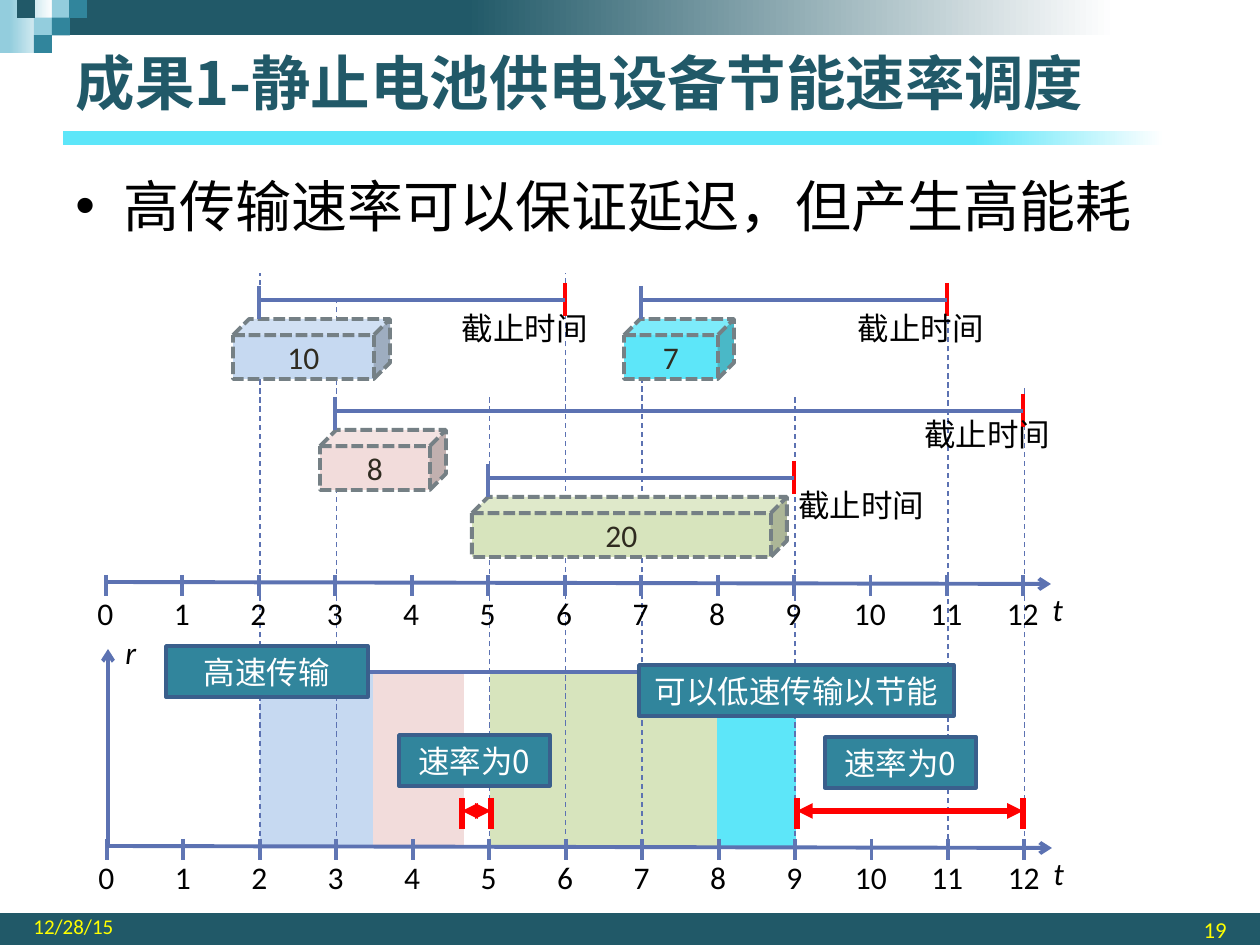
"""Build the slide on energy-saving rate scheduling for a static battery-powered device."""
from lxml import etree
from pptx import Presentation
from pptx import util as u
from pptx.dml.color import RGBColor
from pptx.enum import dml, shapes, text
from pptx.oxml.ns import qn

TITLE = "成果1-静止电池供电设备节能速率调度"
POINT = "高传输速率可以保证延迟，但产生高能耗"
DEADLINE = "截止时间"
DATE, PAGE = "12/28/15", "19"
COLORS = {
    "navy": "215968", "teal": "31859C", "sky": "93CDDD", "cyan": "5DE6F9", "white": "FFFFFF",
    "black": "000000", "yellow": "FFFF00", "red": "FF0000", "axis": "5C72B2", "tick": "6076B4",
    "blue": "C6D9F1", "pink": "F2DCDB", "green": "D7E4BD", "cube_edge": "758085",
    "cube_text": "2F2B20", "callout_edge": "3A5F8C",
}
LATIN, HAN = "Calibri", "Noto Sans CJK SC"
FADES = [
    ((63, 131, 1197, 14), ((76, "cyan"), (92, "white"))),
    ((0, 0, 53, 53), ((18, "sky"), (100, "white"))),
    ((57, 0, 1203, 35), ((34, "navy"), (88, "white"))),
]
MOSAIC = [(3, 0, "sky"), (4, 0, "teal"), (2, 1, "sky"), (1, 0, "navy"), (3, 1, "teal"), (2, 2, "teal")]
RATE_BARS = [(373, 91, "pink"), (490, 227, "green"), (717, 79, "cyan"), (260, 113, "blue")]
GUIDES = {2: (836, 273), 3: (836, 301), 5: (836, 396), 6: (834, 273),
          7: (834, 284), 9: (836, 396), 11: (848, 292), 12: (836, 388)}
TASKS = [
    ("10", 2, 6, 300, (233, 157), "blue", (462, 309)),
    ("20", 5, 9, 478, (472, 315), "green", (798, 486)),
    ("8", 3, 12, 411, (320, 126), "pink", (924, 415)),
    ("7", 7, 11, 300, (624, 110), "cyan", (858, 309)),
]
IDLE_SPANS = [(797, 1023), (462, 491)]
CALLOUTS = [
    ("高速传输", 166, 646, 202), ("速率为0", 825, 737, 151),
    ("可以低速传输以节能", 639, 665, 315), ("速率为0", 399, 735, 151),
]
PX = u.Inches(1) / 126
ORIGIN, PITCH = 107, 76.45


def px(*lengths):
    return [u.Emu(round(length * PX)) for length in lengths]


def rgb(name):
    return RGBColor.from_string(COLORS[name])


def at_time(t):
    return ORIGIN + PITCH * t


def assign(target, values):
    for name, value in values.items():
        setattr(target, name, value)


def write(holder, words, size, color="black", font=LATIN, align="LEFT", anchor="TOP", inset=None, **marks):
    frame = holder.text_frame
    assign(frame, {"word_wrap": True, "auto_size": text.MSO_AUTO_SIZE.NONE,
                   "vertical_anchor": getattr(text.MSO_ANCHOR, anchor)})
    if inset is not None:
        assign(frame, dict.fromkeys(("margin_left", "margin_top", "margin_right", "margin_bottom"), inset))
    paragraph = frame.paragraphs[0]
    paragraph.alignment = getattr(text.PP_ALIGN, align)
    run = paragraph.add_run()
    run.text = words
    assign(run.font, {"size": u.Pt(size), "name": font, **marks})
    run.font.color.rgb = rgb(color)
    if font == HAN:
        etree.SubElement(run.font._element, qn("a:ea"), typeface=HAN)
    return paragraph


def label(slide, words, box, size=18, **look):
    return write(slide.shapes.add_textbox(*px(*box)), words, size, **look)


def block(slide, box, fill=None, kind="RECTANGLE", edge=None, width=2.0):
    shape = slide.shapes.add_shape(getattr(shapes.MSO_SHAPE, kind), *px(*box))
    shape.shadow.inherit = False
    if fill:
        shape.fill.solid()
        shape.fill.fore_color.rgb = rgb(fill)
    if edge:
        shape.line.color.rgb = rgb(edge)
        shape.line.width = u.Pt(width)
    else:
        shape.line.fill.background()
    return shape


def line(slide, x1, y1, x2, y2, color="axis", width=2.25, dash=None, head=None, tail=None):
    link = slide.shapes.add_connector(shapes.MSO_CONNECTOR.STRAIGHT, *px(x1, y1, x2, y2))
    link.line.color.rgb = rgb(color)
    assign(link.line, {"width": u.Pt(width), "dash_style": dash})
    stroke = link.line._get_or_add_ln()
    for end, arrow in (("a:headEnd", head), ("a:tailEnd", tail)):
        if arrow:
            etree.SubElement(stroke, qn(end), type=arrow)
    etree.SubElement(link._element.spPr, qn("a:effectLst"))


def heading(slide):
    title = slide.shapes.title
    assign(title, dict(zip(("left", "top", "width", "height"), px(63, 39, 1097, 86))))
    write(title, TITLE, 34, "navy", HAN, anchor="MIDDLE", bold=True)
    block(slide, (0, 913, 1260, 32), "navy")
    for box, stops in FADES:
        band = block(slide, box)
        band.fill.gradient()
        band.fill.gradient_angle = 0
        for stop, (position, color) in zip(band.fill.gradient_stops, stops):
            stop.position = position / 100
            stop.color.rgb = rgb(color)
    for column, row, color in MOSAIC:
        block(slide, (17 * column + column // 3, 17.5 * row, 18, 18), color)
    point = label(slide, POINT, (63, 165, 1155, 90), 32, font=HAN)
    point.space_before = u.Pt(6.4)
    settings = point._p.get_or_add_pPr()
    indent = px(48)[0]
    settings.set("marL", str(indent))
    settings.set("indent", str(-indent))
    etree.SubElement(settings, qn("a:buFont"), typeface="Arial")
    etree.SubElement(settings, qn("a:buChar"), char="•")
    label(slide, DATE, (21, 913, 294, 32), 12, color="yellow", anchor="BOTTOM")
    label(slide, PAGE, (945, 913, 294, 32), 13, color="yellow", align="RIGHT", anchor="MIDDLE")


def time_axis(slide, y, shift):
    line(slide, 106 + shift, y - 1, 1052 + shift, y + 1, tail="arrow")
    label(slide, "t", (1041 + shift, y + 1, 32, 53), italic=True)
    for t in range(13):
        x = at_time(t) + shift
        line(slide, x, y - 8, x, y + 13, "tick")
        left, width = (x - 29, 73) if t > 9 else (x - 21, 32)
        label(slide, str(t), (left, y + 5, width, 50))


def task(slide, amount, start, deadline, y, span, fill, note):
    left, right = at_time(start) - 1, at_time(deadline) - 1
    cube = block(slide, (span[0], y + 19, span[1], 60), fill, "CUBE", "cube_edge", 2.25)
    cube.adjustments[0] = 0.271
    cube.line.dash_style = dml.MSO_LINE.SQUARE_DOT
    write(cube, amount, 18, "cube_text", align="CENTER", anchor="MIDDLE")
    line(slide, right, y - 17, right, y + 16, "red")
    line(slide, left, y, right, y)
    line(slide, left, y - 14, left, y + 19, "tick")
    label(slide, DEADLINE, (*note, 144, 38), font=HAN, inset=0)


def main():
    deck = Presentation()
    deck.slide_width, deck.slide_height = px(1260, 945)
    slide = deck.slides.add_slide(deck.slide_layouts[5])
    heading(slide)
    for left, width, color in RATE_BARS:
        block(slide, (left, 673, width, 173), color)
    time_axis(slide, 847, 0)
    line(slide, 108, 848, 108, 649, tail="arrow")
    for t, (bottom, top) in GUIDES.items():
        line(slide, at_time(t), bottom, at_time(t), top, width=0.75, dash=dml.MSO_LINE.DASH)
    for entry in TASKS:
        task(slide, *entry)
    time_axis(slide, 583, -1)
    label(slide, "r", (113, 627, 32, 53), italic=True)
    line(slide, at_time(2), 672, at_time(9), 672)
    for left, right in IDLE_SPANS:
        line(slide, left, 811, right, 811, "red", 3, head="triangle", tail="triangle")
        for x in (left, right):
            line(slide, x, 798, x, 829, "red", 3)
    for words, left, top, width in CALLOUTS:
        callout = block(slide, (left, top, width, 51), "teal", edge="callout_edge")
        write(callout, words, 18, "white", HAN, "CENTER", "MIDDLE")
    deck.save("out.pptx")


if __name__ == "__main__":
    main()
